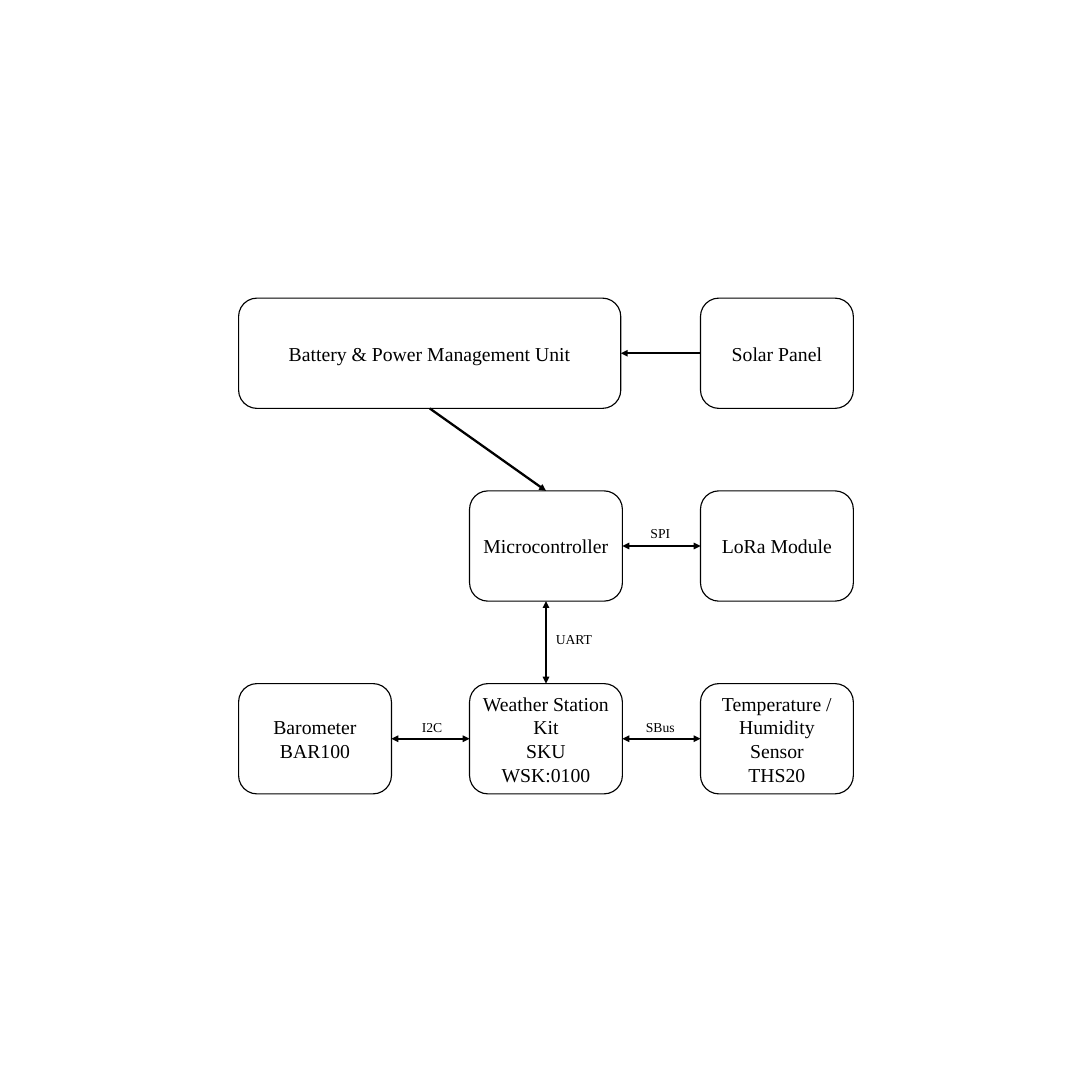
"""Draw the block diagram of a solar-powered weather station."""
import pptx
import pptx.util
import pptx.dml.color
import pptx.enum.shapes
import pptx.enum.text
import pptx.oxml.ns
import lxml.etree

TOP, LEFT, BOTTOM, RIGHT = range(4)


def color(hex_code):
    return pptx.dml.color.RGBColor.from_string(hex_code)


def write(frame, text, size=26, font="Times New Roman", ink="000000", align="CENTER", anchor="MIDDLE"):
    frame.word_wrap = True
    frame.vertical_anchor = getattr(pptx.enum.text.MSO_ANCHOR, anchor)
    frame.text = text
    for paragraph in frame.paragraphs:
        paragraph.alignment = getattr(pptx.enum.text.PP_ALIGN, align)
        for run in paragraph.runs:
            run.font.size = pptx.util.Pt(size)
            run.font.name = font
            run.font.color.rgb = color(ink)


class Diagram:
    ink, paper = "000000", "FFFFFF"
    origin_x, origin_y = 4.37, 5.46
    column_pitch, row_pitch = 4.23, 3.53
    block_width, block_height = 2.8, 2.02

    def __init__(self, slide):
        self.slide = slide

    def place(self, column, row, width, height):
        left = self.origin_x + column * self.column_pitch
        top = self.origin_y + row * self.row_pitch
        return [pptx.util.Inches(length) for length in (left, top, width, height)]

    def block(self, text, column, row, width=block_width):
        block = self.slide.shapes.add_shape(
            pptx.enum.shapes.MSO_SHAPE.ROUNDED_RECTANGLE,
            *self.place(column, row, width, self.block_height))
        block.shadow.inherit = False
        block.fill.solid()
        block.fill.fore_color.rgb = color(self.paper)
        block.line.color.rgb = color(self.ink)
        block.line.width = pptx.util.Pt(1.5)
        write(block.text_frame, text, ink=self.ink)
        return block

    def arrow(self, source, source_side, target, target_side, both_ways=True):
        arrow = self.slide.shapes.add_connector(pptx.enum.shapes.MSO_CONNECTOR.STRAIGHT, 0, 0, 0, 0)
        arrow.begin_connect(source, source_side)
        arrow.end_connect(target, target_side)
        arrow.line.color.rgb = color(self.ink)
        arrow.line.width = pptx.util.Pt(3)
        outline = arrow.line._get_or_add_ln()
        for end in ("a:headEnd", "a:tailEnd") if both_ways else ("a:tailEnd",):
            lxml.etree.SubElement(outline, pptx.oxml.ns.qn(end), type="triangle")
        lxml.etree.SubElement(arrow._element.spPr, pptx.oxml.ns.qn("a:effectLst"))

    def label(self, text, column, row, width):
        label = self.slide.shapes.add_textbox(*self.place(column, row, width, 0.4))
        write(label.text_frame, text, size=18, ink=self.ink, align="LEFT", anchor="TOP")


deck = pptx.Presentation()
deck.slide_width = deck.slide_height = pptx.util.Inches(20)
diagram = Diagram(deck.slides.add_slide(deck.slide_layouts[6]))

power_unit = diagram.block("Battery & Power Management Unit", 0, 0, width=7)
solar_panel = diagram.block("Solar Panel", 2, 0)
microcontroller = diagram.block("Microcontroller", 1, 1)
radio = diagram.block("LoRa Module", 2, 1)
barometer = diagram.block("Barometer\nBAR100", 0, 2)
weather_kit = diagram.block("Weather Station Kit\nSKU WSK:0100", 1, 2)
climate_sensor = diagram.block("Temperature / Humidity Sensor\nTHS20", 2, 2)

diagram.arrow(solar_panel, LEFT, power_unit, RIGHT, both_ways=False)
diagram.arrow(power_unit, BOTTOM, microcontroller, TOP, both_ways=False)
diagram.arrow(microcontroller, RIGHT, radio, LEFT)
diagram.arrow(weather_kit, TOP, microcontroller, BOTTOM)
diagram.arrow(barometer, RIGHT, weather_kit, LEFT)
diagram.arrow(climate_sensor, LEFT, weather_kit, RIGHT)

for bus, column, row, width in (
    ("SPI", 1.76, 1.16, 0.81),
    ("UART", 1.35, 1.71, 1.95),
    ("I2C", 0.77, 2.17, 0.72),
    ("SBus", 1.74, 2.17, 1.1),
):
    diagram.label(bus, column, row, width)

deck.save("out.pptx")
